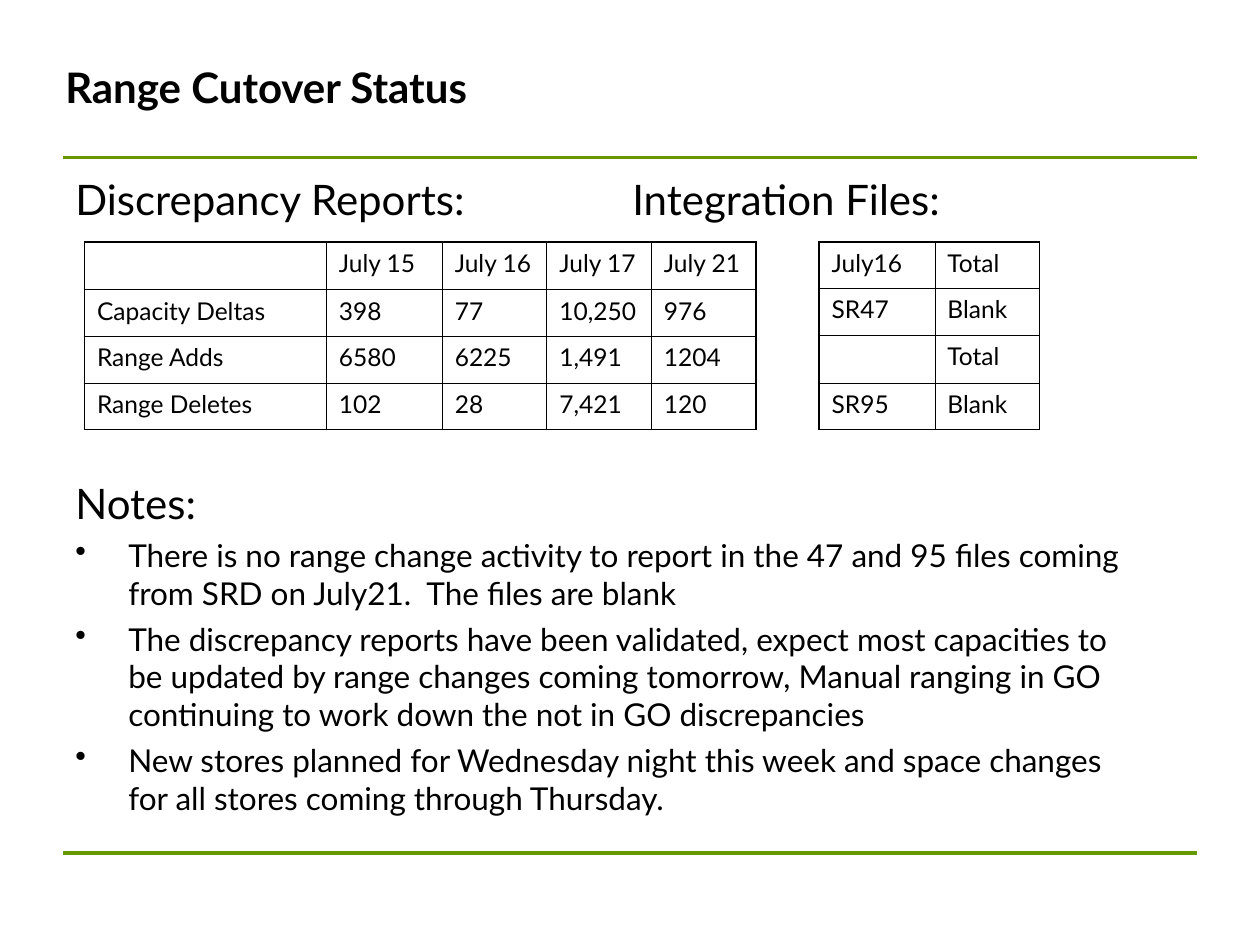
from pptx import Presentation
from pptx.dml.color import RGBColor as RGB
from pptx.enum.text import MSO_ANCHOR as Anchor
from pptx.oxml.ns import qn
from pptx.util import Inches, Pt
from lxml.etree import SubElement as Sub

COLORS = {"ink": "000000", "rule": "669900"}
FACE = "Lato"

TITLE = "Range Cutover Status"
HEADS = "Discrepancy Reports:\tIntegration Files:"
NOTES = [
    "There is no range change activity to report in the 47 and 95 files coming "
    "from SRD on July21.  The files are blank",
    "The discrepancy reports have been validated, expect most capacities to be "
    "updated by range changes coming tomorrow, Manual ranging in GO continuing "
    "to work down the not in GO discrepancies",
    "New stores planned for Wednesday night this week and space changes for all "
    "stores coming through Thursday.",
]
TABLES = [
    {"left": 0.67, "cols": [1.92, 0.92, 0.83, 0.83, 0.83], "rows": [
        ["", "July 15", "July 16", "July 17", "July 21"],
        ["Capacity Deltas", "398", "77", "10,250", "976"],
        ["Range Adds", "6580", "6225", "1,491", "1204"],
        ["Range Deletes", "102", "28", "7,421", "120"]]},
    {"left": 6.5, "cols": [0.92, 0.83], "rows": [
        ["July16", "Total"],
        ["SR47", "Blank"],
        ["", "Total"],
        ["SR95", "Blank"]]},
]
TABLE_TOP = 1.92
ROW, BLANK_ROW = 0.37, 0.38
OUTER, INNER = 1.08, 0.45
INDENT = 0.42
TAB = 4.42
TABLE_GAP = 145  # points kept free between the headings and the notes

prs = Presentation()
prs.slide_width, prs.slide_height = Inches(10), Inches(7.5)
slide = prs.slides.add_slide(prs.slide_layouts[6])
shapes = slide.shapes


def style(run, size, bold=False):
    for key, val in {"name": FACE, "size": Pt(size), "bold": bold}.items():
        setattr(run.font, key, val)
    run.font.color.rgb = RGB.from_string(COLORS["ink"])


def add_box(left, top, width, height, anchor):
    frame = shapes.add_textbox(*map(Inches, (left, top, width, height))).text_frame
    frame.word_wrap = True
    frame.vertical_anchor = anchor
    return frame


def write(para, text, size, before=0, bold=False):
    if before:
        para.space_before = Pt(before)
    run = para.add_run()
    run.text = text
    style(run, size, bold)


def add_tab(para, pos):
    tabs = Sub(para._p.get_or_add_pPr(), qn("a:tabLst"))
    Sub(tabs, qn("a:tab"), pos=str(Inches(pos)), algn="l")


def add_bullet(para):
    props = para._p.get_or_add_pPr()
    props.set("marL", str(Inches(INDENT)))
    props.set("indent", str(-Inches(INDENT)))
    Sub(Sub(props, qn("a:buClr")), qn("a:srgbClr"), val=COLORS["ink"])
    Sub(props, qn("a:buChar"), char="•")


def add_rule(top):
    line = shapes.add_connector(1, Inches(0.5), Inches(top), Inches(9.5), Inches(top))
    line.line.color.rgb = RGB.from_string(COLORS["rule"])
    line.line.width = Pt(2.25)
    Sub(line._element.spPr, qn("a:effectLst"))


def add_borders(cell, edges):
    """Draw each side heavy where it lies on the table's edge."""
    props = cell._tc.get_or_add_tcPr()
    for side, edge in edges.items():
        width = Pt(OUTER if edge else INNER)
        line = Sub(props, qn("a:ln" + side), w=str(width))
        Sub(Sub(line, qn("a:solidFill")), qn("a:srgbClr"), val=COLORS["ink"])


def add_grid(left, cols, rows):
    highs = [ROW if all(row) else BLANK_ROW for row in rows]
    size = map(Inches, (left, TABLE_TOP, sum(cols), sum(highs)))
    table = shapes.add_table(len(rows), len(cols), *size).table
    table.first_row = table.horz_banding = False
    for col, width in zip(table.columns, cols):
        col.width = Inches(width)
    for r, (row, high) in enumerate(zip(rows, highs)):
        table.rows[r].height = Inches(high)
        for c, text in enumerate(row):
            cell = table.cell(r, c)
            add_borders(cell, {"L": c == 0, "R": c == len(cols) - 1,
                               "T": r == 0, "B": r == len(rows) - 1})
            cell.fill.background()
            para = cell.text_frame.paragraphs[0]
            if text:
                write(para, text, 14)
            else:
                Sub(para._p, qn("a:endParaRPr"), sz="1400")


for top in (1.25, 6.77):
    add_rule(top)

title = add_box(0.42, 0.3, 7.67, 0.78, Anchor.MIDDLE)
write(title.paragraphs[0], TITLE, 24, bold=True)

body = add_box(0.5, 1.33, 8.67, 5.28, Anchor.TOP)
add_tab(body.paragraphs[0], TAB)
write(body.paragraphs[0], HEADS, 24)
write(body.add_paragraph(), "Notes:", 24, TABLE_GAP)
for note in NOTES:
    para = body.add_paragraph()
    add_bullet(para)
    write(para, note, 18, 4.5)

for grid in TABLES:
    add_grid(**grid)

prs.save("out.pptx")
